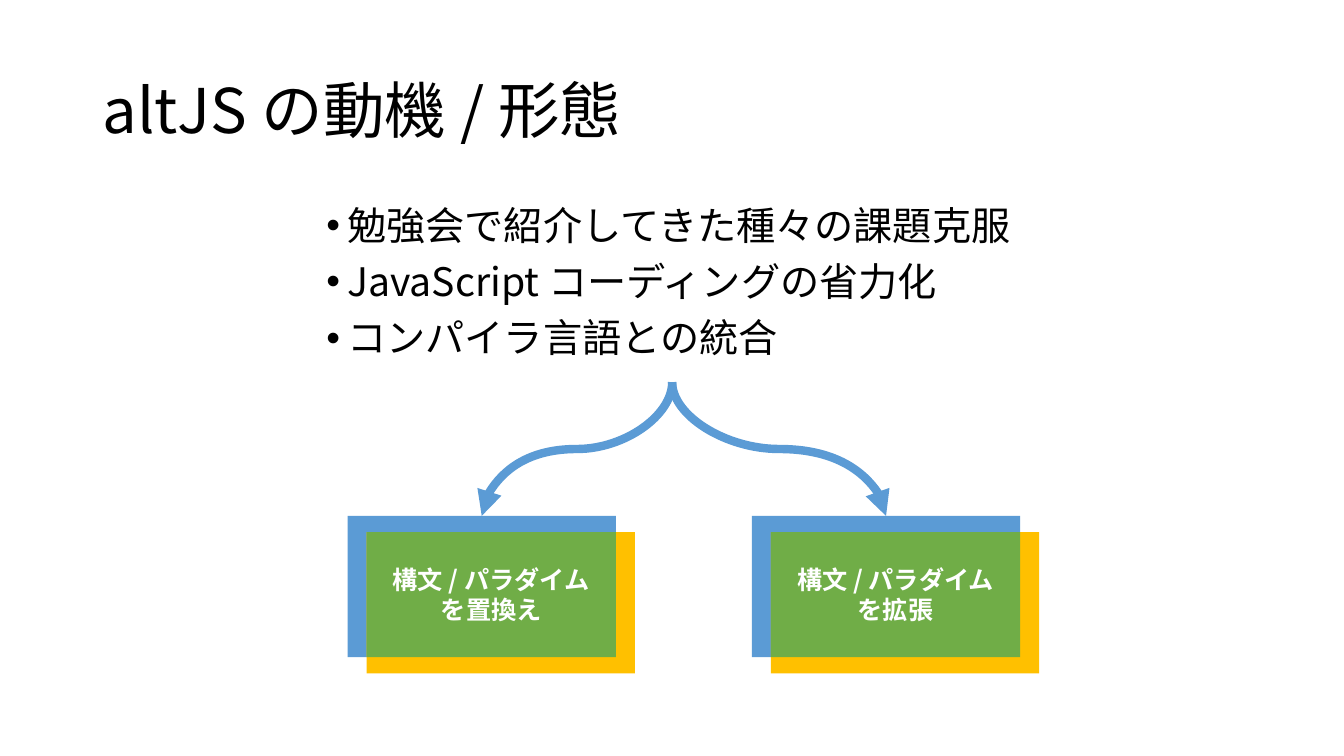
from dataclasses import dataclass

from lxml.etree import SubElement
from pptx import Presentation
from pptx.dml.color import RGBColor
from pptx.enum.shapes import MSO_CONNECTOR, MSO_SHAPE
from pptx.enum.text import MSO_ANCHOR as ANCHOR, MSO_AUTO_SIZE, PP_ALIGN as ALIGN
from pptx.oxml.ns import qn
from pptx.util import Cm, Pt

FONT = "Noto Sans CJK JP"
BLUE, YELLOW, GREEN = "5B9BD5", "FFC000", "70AD47"
BLACK, WHITE = "000000", "FFFFFF"
CARD_TOP, CARD_W, CARD_H = 13.0, 6.76, 3.56
SHIFT_X, SHIFT_Y = 0.48, 0.41
FORK_X, FORK_Y = 16.94, 9.63


@dataclass
class Card:
    left: float
    text: str


CARDS = [
    Card(8.76, "構文 / パラダイム\nを置換え"),
    Card(18.95, "構文 / パラダイム\nを拡張"),
]
MOTIVES = [
    "勉強会で紹介してきた種々の課題克服",
    "JavaScript コーディングの省力化",
    "コンパイラ言語との統合",
]


def rgb(value: str) -> RGBColor:
    return RGBColor.from_string(value)


def write(p, text: str, *, size: float, color: str = BLACK, bold: bool = False,
          align=ALIGN.LEFT, spacing: float = 1.0, before: float = 0) -> None:
    p.text = text
    p.alignment = align
    p.line_spacing = spacing
    p.space_before = Pt(before)
    for r in p.runs:
        r.font.name = FONT
        r.font.size = Pt(size)
        r.font.bold = bold
        r.font.color.rgb = rgb(color)
        SubElement(r.font._element, qn("a:ea"), typeface=FONT)


def place(sp, left: float, top: float, width: float, height: float, anchor):
    sp.left, sp.top, sp.width, sp.height = map(Cm, (left, top, width, height))
    tf = sp.text_frame
    tf.word_wrap = True
    tf.auto_size = MSO_AUTO_SIZE.NONE
    tf.vertical_anchor = anchor
    return tf


def add_rect(shapes, left: float, top: float, width: float, height: float, color: str):
    sp = shapes.add_shape(MSO_SHAPE.RECTANGLE, Cm(left), Cm(top), Cm(width), Cm(height))
    sp.shadow.inherit = False
    sp.fill.solid()
    sp.fill.fore_color.rgb = rgb(color)
    sp.line.fill.background()
    return sp


def add_card(slide, card: Card) -> None:
    shapes = slide.shapes.add_group_shape().shapes
    inner_left, inner_top = card.left + SHIFT_X, CARD_TOP + SHIFT_Y
    add_rect(shapes, card.left, CARD_TOP, CARD_W, CARD_H, BLUE)
    add_rect(shapes, inner_left, inner_top, CARD_W, CARD_H, YELLOW)
    sp = add_rect(shapes, inner_left, inner_top, CARD_W - SHIFT_X, CARD_H - SHIFT_Y, GREEN)
    tf = sp.text_frame
    tf.word_wrap = True
    tf.vertical_anchor = ANCHOR.MIDDLE
    write(tf.paragraphs[0], card.text, size=18, color=WHITE, bold=True, align=ALIGN.CENTER)


def add_branch(slide, end_x: float) -> None:
    drop, run = CARD_TOP - FORK_Y, abs(end_x - FORK_X)
    mid_x, mid_y = (FORK_X + end_x) / 2, (FORK_Y + CARD_TOP) / 2
    left, right = mid_x - drop / 2, mid_x + drop / 2
    to_right = end_x > FORK_X
    begin, end = (right, left) if to_right else (left, right)
    sp = slide.shapes.add_connector(MSO_CONNECTOR.CURVE, Cm(begin), Cm(mid_y - run / 2),
                                    Cm(end), Cm(mid_y + run / 2))
    sp.line.color.rgb = rgb(BLUE)
    sp.line.width = Pt(6)
    spPr = sp._element.spPr
    spPr.find(qn("a:xfrm")).set("rot", str((270 if to_right else 90) * 60000))
    SubElement(spPr.find(qn("a:ln")), qn("a:tailEnd"), type="triangle")
    SubElement(spPr, qn("a:effectLst"))


def add_motives(tf) -> None:
    for i, text in enumerate(MOTIVES):
        p = tf.add_paragraph() if i else tf.paragraphs[0]
        write(p, text, size=28, spacing=0.9, before=10)
        pPr = p._p.get_or_add_pPr()
        pPr.set("marL", str(Cm(6.17)))
        pPr.set("indent", str(Cm(-0.53)))
        SubElement(pPr, qn("a:buFont"), typeface="Arial")
        SubElement(pPr, qn("a:buChar"), char="•")


def main() -> None:
    prs = Presentation()
    prs.slide_width, prs.slide_height = Cm(33.87), Cm(19.05)
    slide = prs.slides.add_slide(prs.slide_layouts[1])
    title, body = slide.placeholders
    tf = place(title, 2.33, 1.01, 29.21, 3.68, ANCHOR.MIDDLE)
    write(tf.paragraphs[0], "altJS の動機 / 形態", size=44, spacing=0.9)
    add_motives(place(body, 2.33, 5.07, 29.21, 4.56, ANCHOR.TOP))
    for card in CARDS:
        add_card(slide, card)
    for card in CARDS:
        add_branch(slide, card.left + CARD_W / 2)
    prs.save("out.pptx")


if __name__ == "__main__":
    main()
